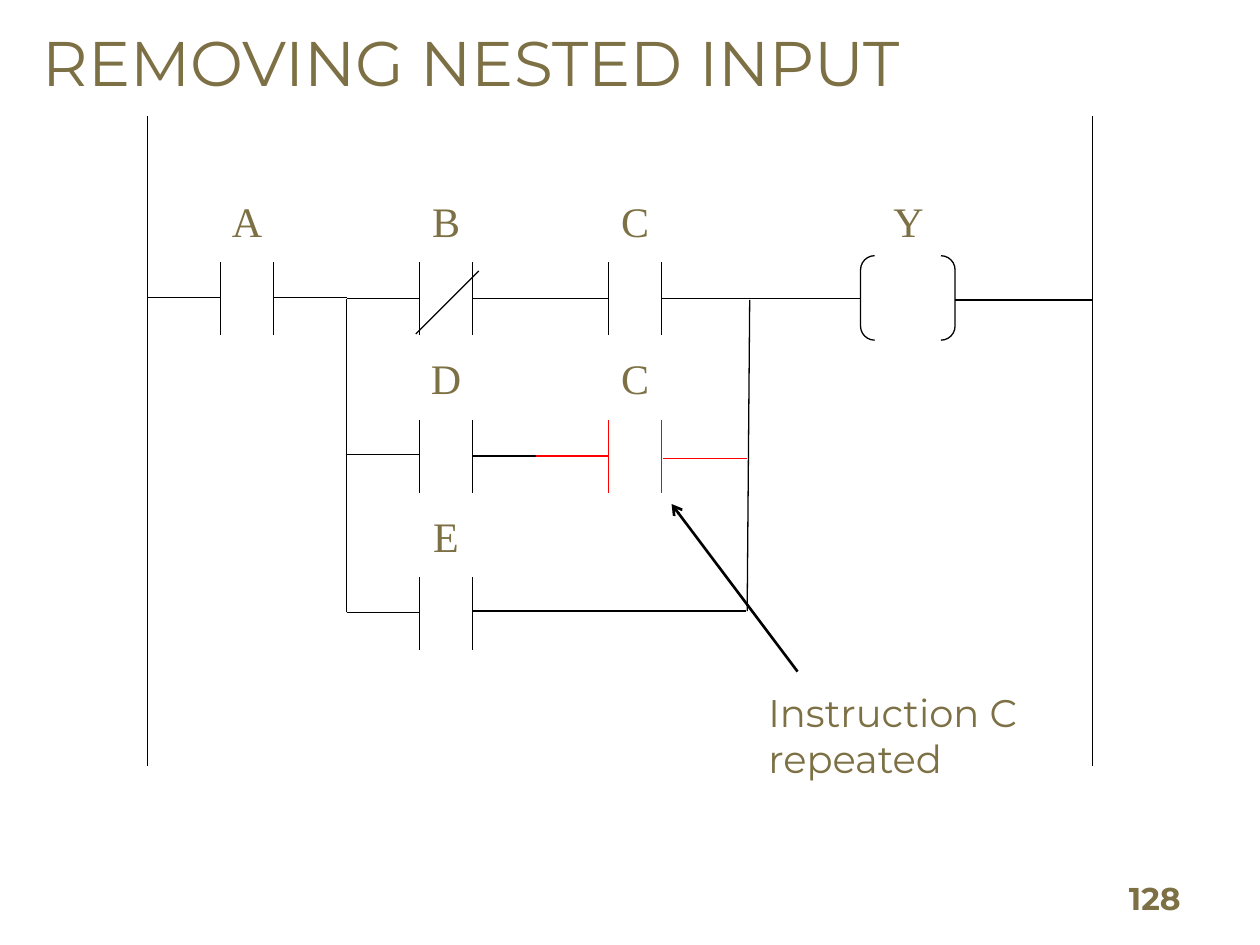
from typing import NamedTuple

from lxml import etree
from pptx import Presentation
from pptx import util as u
from pptx.dml.color import RGBColor
from pptx.enum import shapes, text
from pptx.oxml.ns import qn

PX = 9144  # 100 px to the inch
INK = {"black": "000000", "red": "FF0000", "olive": "7C7044"}
ROWS = [208 + 125 * i for i in range(3)]  # tops of the contacts
GAP, TALL = 42, 58  # contact width and height


class Wire(NamedTuple):
    x1: int
    y1: int
    x2: int
    y2: int
    ink: str = "black"
    width: float = 0.75


class Contact(NamedTuple):
    name: str
    x: int
    y: int
    ink: str = "black"


class Style(NamedTuple):
    font: str
    size: int
    bold: bool = False
    align: text.PP_ALIGN = text.PP_ALIGN.LEFT
    anchor: text.MSO_ANCHOR = text.MSO_ANCHOR.TOP
    inset: tuple[int, int] = (10, 5)


LABEL = Style("Times New Roman", 24, align=text.PP_ALIGN.CENTER)
NOTE = Style("Montserrat", 22)
TITLE = Style("Montserrat", 36, inset=(9, 4))
NUMBER = Style("Montserrat", 18, bold=True,
               anchor=text.MSO_ANCHOR.BOTTOM, inset=(9, 4))

CONTACTS = [
    Contact("A", 175, ROWS[0]),
    Contact("B", 333, ROWS[0]),
    Contact("C", 483, ROWS[0]),
    Contact("D", 333, ROWS[1]),
    Contact("C", 483, ROWS[1], "red"),
    Contact("E", 333, ROWS[2]),
]
WIRES = [
    # power rails
    Wire(117, 92, 117, 608), Wire(867, 92, 867, 608),
    # top rung
    Wire(117, 236, 175, 236), Wire(217, 236, 275, 236),
    Wire(275, 237, 333, 237), Wire(375, 237, 433, 237),
    Wire(425, 237, 483, 237), Wire(525, 237, 683, 237),
    Wire(758, 238, 867, 238),
    Wire(380, 215, 330, 265),  # slash of the closed contact
    # middle branch
    Wire(275, 361, 333, 361), Wire(375, 362, 433, 362),
    Wire(425, 362, 483, 362, "red"), Wire(526, 364, 593, 364, "red"),
    # bottom branch
    Wire(275, 486, 333, 486), Wire(375, 485, 592, 485),
    # branch sides
    Wire(275, 362, 275, 237), Wire(275, 486, 275, 361),
    Wire(595, 238, 593, 485),
]


def px(*sizes: int) -> list[u.Emu]:
    return [u.Emu(n * PX) for n in sizes]


def color(key: str) -> RGBColor:
    return RGBColor.from_string(INK[key])


def draw_wire(slide, wire: Wire):
    line = slide.shapes.add_connector(
        shapes.MSO_CONNECTOR.STRAIGHT,
        *px(wire.x1, wire.y1, wire.x2, wire.y2))
    line.line.color.rgb = color(wire.ink)
    line.line.width = u.Pt(wire.width)
    etree.SubElement(line._element.spPr, qn("a:effectLst"))
    return line


def add_arrow(slide, wire: Wire) -> None:
    line = draw_wire(slide, wire)
    etree.SubElement(line.line._get_or_add_ln(), qn("a:tailEnd"), type="arrow")


def write(frame, words: str, style: Style) -> None:
    frame.auto_size = text.MSO_AUTO_SIZE.NONE
    frame.word_wrap = True
    frame.vertical_anchor = style.anchor
    side, edge = px(*style.inset)
    frame.margin_left = frame.margin_right = side
    frame.margin_top = frame.margin_bottom = edge
    para = frame.paragraphs[0]
    para.alignment = style.align
    run = para.add_run()
    run.text = words
    run.font.name = style.font
    run.font.size = u.Pt(style.size)
    run.font.bold = style.bold
    run.font.color.rgb = color("olive")


def add_text(slide, words: str, area: tuple[int, ...], style: Style) -> None:
    box = slide.shapes.add_textbox(*px(*area))
    write(box.text_frame, words, style)


def add_label(slide, name: str, mid: int, top: int) -> None:
    add_text(slide, name, (mid - 46, top - 58, 92, 50), LABEL)


def draw_contact(slide, part: Contact) -> None:
    for x in (part.x, part.x + GAP):
        draw_wire(slide, Wire(x, part.y, x, part.y + TALL, part.ink))
    add_label(slide, part.name, part.x + GAP // 2, part.y)


def draw_coil(slide) -> None:
    coil = slide.shapes.add_shape(
        shapes.MSO_SHAPE.DOUBLE_BRACKET, *px(683, 203, 75, 67))
    coil.shadow.inherit = False
    coil.fill.background()
    coil.line.color.rgb = color("black")
    coil.line.width = u.Pt(0.75)
    add_label(slide, "Y", 721, ROWS[0])


def main() -> None:
    deck = Presentation()
    deck.slide_width, deck.slide_height = px(1000, 750)
    slide = deck.slides.add_slide(deck.slide_layouts[5])
    title = slide.shapes.title
    title.left, title.top, title.width, title.height = px(25, 15, 920, 69)
    write(title.text_frame, "REMOVING NESTED INPUT", TITLE)
    for wire in WIRES:
        draw_wire(slide, wire)
    for part in CONTACTS:
        draw_contact(slide, part)
    draw_coil(slide)
    add_arrow(slide, Wire(633, 533, 533, 400, width=1.5))
    add_text(slide, "Instruction C repeated", (600, 542, 275, 84), NOTE)
    add_text(slide, "128", (887, 701, 106, 31), NUMBER)
    deck.save("out.pptx")


if __name__ == "__main__":
    main()
